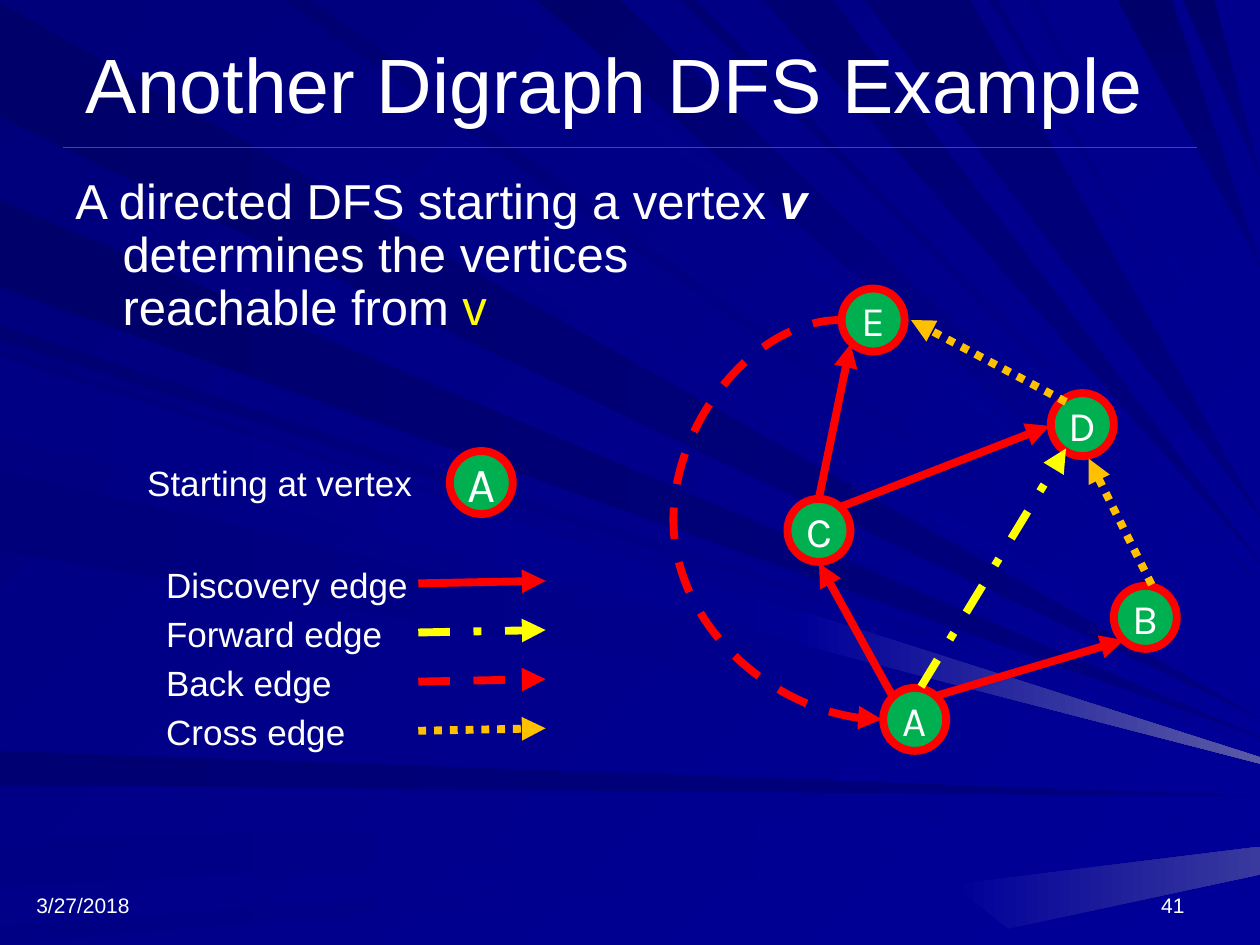
"""Build the slide on a depth-first search of a directed graph."""
from lxml.etree import SubElement
from pptx import Presentation
from pptx.dml.color import RGBColor
from pptx.enum.dml import MSO_LINE as Dash
from pptx.enum.shapes import MSO_CONNECTOR as Link, MSO_SHAPE as Shape
from pptx.enum.text import MSO_ANCHOR as Anchor, MSO_AUTO_SIZE as Fit, PP_ALIGN as Align
from pptx.oxml.ns import qn
from pptx.util import Cm, Pt

COLORS = {
    "white": "FFFFFF", "yellow": "FFFF00", "red": "FF0000", "amber": "FFC000",
    "green": "00B050", "rule": "EF0129", "midnight": "00006B", "ink": "000073",
    "navy": "00007B", "deep": "000080", "royal": "000085", "blue": "000099",
    "haze": "5A5AA6", "mist": "39399E",
}
LEFT_RAYS = [
    ("midnight", "deep", 0.02, 0.93, 5.7), ("ink", "deep", 5.96, 6.23, 6.32),
    ("royal", "blue", 6.65, 7.04, 6.47), ("royal", "blue", 7.35, 7.5, 6.62),
    ("ink", "blue", 2.58, 2.7, 5.89), ("midnight", "deep", 1.59, 2.28, 5.85),
    ("navy", "blue", 2.78, 3.42, 6.02), ("navy", "blue", 3.74, 4.37, 6.06),
    ("royal", "blue", 2.83, 3.47, 6.03),
]
TOP_RAYS = [
    ("navy", "blue", 0.26, 1.01, 5.63), ("royal", "blue", 3.98, 4.16, 5.18),
    ("midnight", "blue", 4.26, 4.92, 4.93), ("ink", "blue", 5.4, 5.52, 4.63),
    ("ink", "deep", 6.06, 6.61, 4.46), ("midnight", "deep", 8.87, 9.3, 2.1),
    ("midnight", "deep", 9.39, 9.64, 1.4), ("ink", "blue", 2.25, 2.47, 5.5),
    ("ink", "deep", 6.86, 7.7, 4.1), ("navy", "blue", 7.85, 7.92, 3.57),
    ("royal", "blue", 8.15, 8.24, 3.36),
]
GLOWS = [("blue", "haze", [(6.37, 4.85), (10, 6.01), (10, 6.06), (6.33, 5.11)]),
         ("blue", "mist", [(7.56, 7.02), (10, 6.72), (10, 6.94), (8, 7.37)])]
BODY = [("A directed DFS starting a vertex ", "white", False), ("v", "white", True),
        (" determines the vertices reachable from ", "white", False), ("v", "yellow", False)]
VERTICES = [("A", 7.01, 5.46), ("C", 6.25, 3.96), ("E", 6.68, 2.29),
            ("B", 8.84, 4.65), ("D", 8.34, 3.12)]
STYLES = {"Discovery": ("red", None), "Forward": ("yellow", Dash.DASH_DOT),
          "Back": ("red", Dash.DASH), "Cross": ("amber", Dash.ROUND_DOT)}
EDGES = [
    ("Discovery", (7.08, 5.52), (6.5, 4.47)), ("Discovery", (7.44, 5.52), (8.92, 5.08)),
    ("Discovery", (6.5, 3.95), (6.75, 2.73)), ("Cross", (8.46, 3.19), (7.23, 2.54)),
    ("Cross", (9.14, 4.64), (8.64, 3.64)), ("Forward", (7.31, 5.45), (8.46, 3.56)),
    ("Discovery", (6.68, 4.02), (8.33, 3.38)),
]
LABEL_WIDTHS = {"Discovery": 2.14, "Forward": 1.93, "Back": 1.53, "Cross": 1.64}

deck = Presentation()
deck.slide_width, deck.slide_height = Cm(25.4), Cm(19.05)
page = deck.slides.add_slide(deck.slide_layouts[6])


def inches(*values):
    return [Cm(value * 2.54) for value in values]


def color(name):
    return RGBColor.from_string(COLORS[name])


def blend(fill, first, last, angle):
    fill.gradient()
    fill.gradient_angle = -angle % 360
    for stop, shade in zip(fill.gradient_stops, (first, last)):
        stop.color.rgb = color(shade)


def add_ray(first, last, points, angle=0):
    corners = [inches(*point) for point in points]
    builder = page.shapes.build_freeform(*corners[0])
    builder.add_line_segments(corners[1:], close=True)
    ray = builder.convert_to_shape()
    ray.shadow.inherit = False
    ray.line.fill.background()
    blend(ray.fill, first, last, angle)


def add_span(para, text, size, shade="white", face="Arial", strong=False):
    span = para.add_run()
    span.text = text
    span.font.size, span.font.name = Pt(size), face
    span.font.bold = span.font.italic = strong
    span.font.color.rgb = color(shade)


def add_box(place, size, spans, anchor=Anchor.TOP, align=Align.LEFT, wrap=True):
    frame = page.shapes.add_textbox(*inches(*place)).text_frame
    frame.word_wrap, frame.vertical_anchor = wrap, anchor
    frame.auto_size = Fit.NONE if wrap else Fit.SHAPE_TO_FIT_TEXT
    para = frame.paragraphs[0]
    para.alignment = align
    for text, shade, strong in spans:
        add_span(para, text, size, shade, strong=strong)
    return para


def add_label(text, left, top, width):
    add_box((left, top, width, 0.44), 20, [(text, "white", False)], wrap=False)


def add_line(start, end, shade, dash=None, width=4.5, arrow="tailEnd", kind=Link.STRAIGHT):
    link = page.shapes.add_connector(kind, *inches(*start, *end))
    link.line.width = Pt(width)
    link.line.color.rgb = color(shade)
    if dash:
        link.line.dash_style = dash
    if arrow:
        SubElement(link.line._get_or_add_ln(), qn("a:" + arrow), type="triangle")
    SubElement(link._element.spPr, qn("a:effectLst"))
    return link


def add_vertex(name, left, top, size=24):
    disc = page.shapes.add_shape(Shape.OVAL, *inches(left, top, 0.5, 0.5))
    disc.shadow.inherit = False
    disc.fill.solid()
    disc.fill.fore_color.rgb = color("green")
    disc.line.color.rgb, disc.line.width = color("red"), Pt(4.5)
    frame = disc.text_frame
    frame.word_wrap, frame.vertical_anchor = False, Anchor.MIDDLE
    frame.paragraphs[0].alignment = Align.CENTER
    add_span(frame.paragraphs[0], name, size, face="Karla")


blend(page.background.fill, "navy", "blue", 45)
for first, last, upper, lower, tip in LEFT_RAYS:
    add_ray(first, last, [(0, upper), (0, lower), (10, tip)])
for first, last, left, right, tip in TOP_RAYS:
    add_ray(first, last, [(left, 0), (right, 0), (10, tip)], 90 if last == "deep" else 45)
for glow in GLOWS:
    add_ray(*glow)

add_line((0.5, 1.17), (9.5, 1.17), "rule", width=0.75, arrow=None)
add_box((0.38, 0.03, 9, 1.25), 44, [("Another Digraph DFS Example", "white", False)],
        Anchor.MIDDLE, Align.CENTER)
body = add_box((0.5, 1.36, 6.08, 1.83), 28, BODY)
body.line_spacing = 0.9
body_format = body._p.get_or_add_pPr()
body_format.set("marL", str(Cm(0.95)))
body_format.set("indent", str(-Cm(0.95)))
for text, left, align in [("3/27/2018", 0.19, Align.LEFT), ("41", 7.17, Align.RIGHT)]:
    add_box((left, 6.83, 2.33, 0.5), 12, [(text, "white", False)], Anchor.BOTTOM, align)

for vertex in VERTICES:
    add_vertex(*vertex)
for style, start, end in EDGES:
    add_line(start, end, *STYLES[style])
back_edge = add_line((7, 5.71), (6.67, 2.54), *STYLES["Back"], arrow="headEnd", kind=Link.CURVE)
guides = back_edge._element.spPr.find(qn("a:prstGeom")).get_or_add_avLst()
SubElement(guides, qn("a:gd"), name="adj1", fmla="val 501600")

add_label("Starting at vertex", 1.07, 3.61, 2.4)
add_vertex("A", 3.57, 3.58, 28)
for row, (style, width) in enumerate(LABEL_WIDTHS.items()):
    top = 4.42 + 0.39 * row
    add_line((3.32, top + 0.21), (4.33, top + 0.19), *STYLES[style])
    add_label(f"{style} edge", 1.22, top, width)

deck.save("out.pptx")
